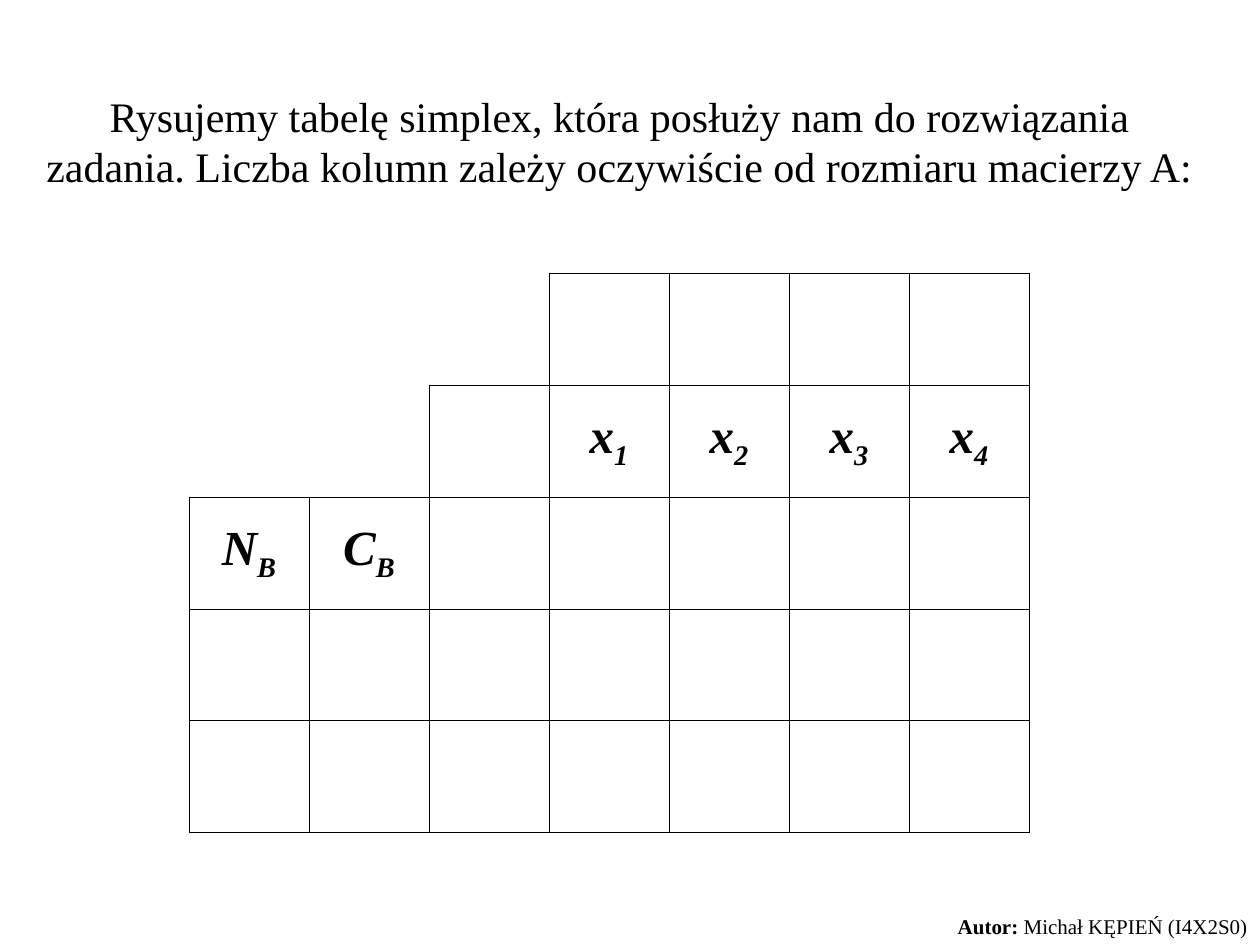
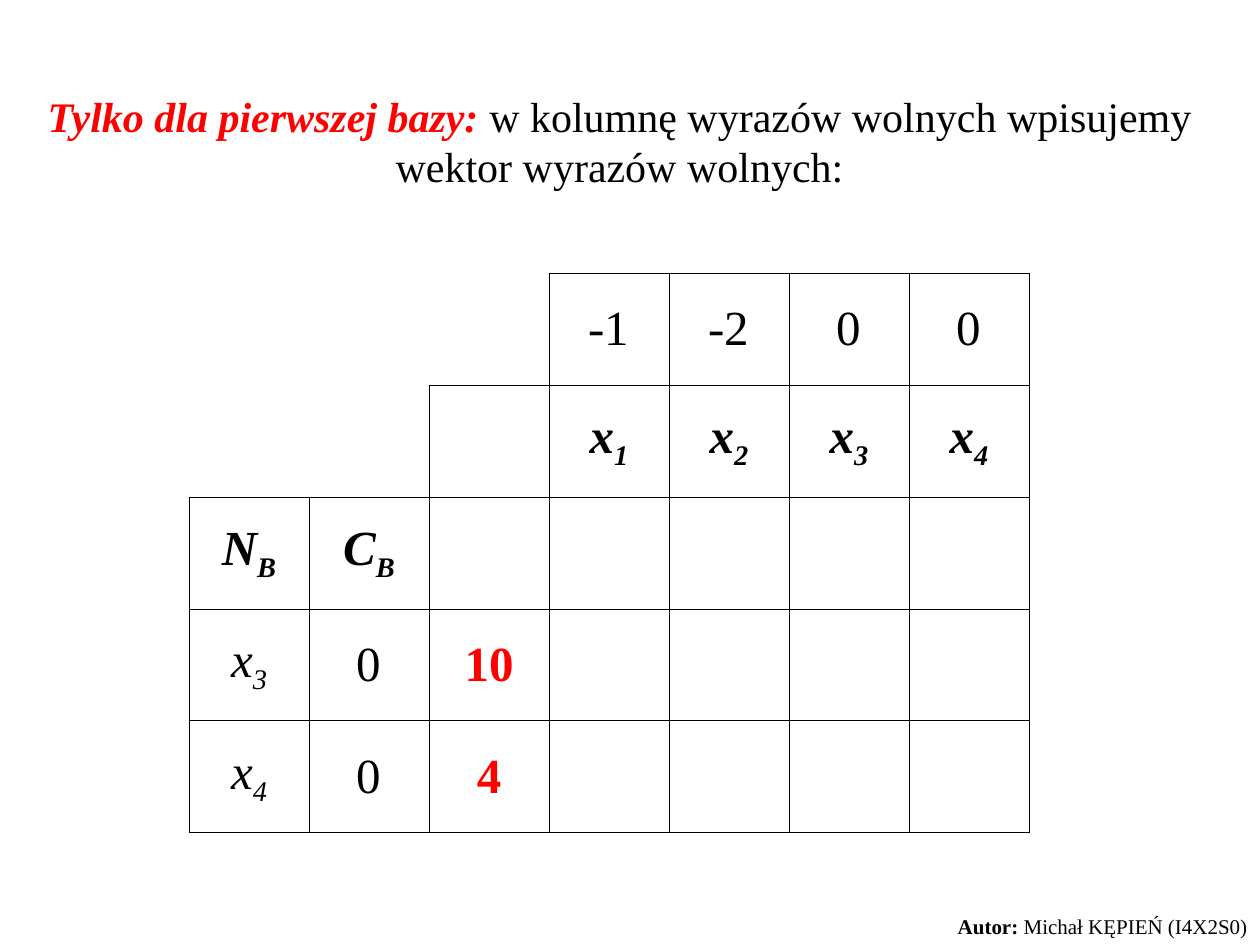
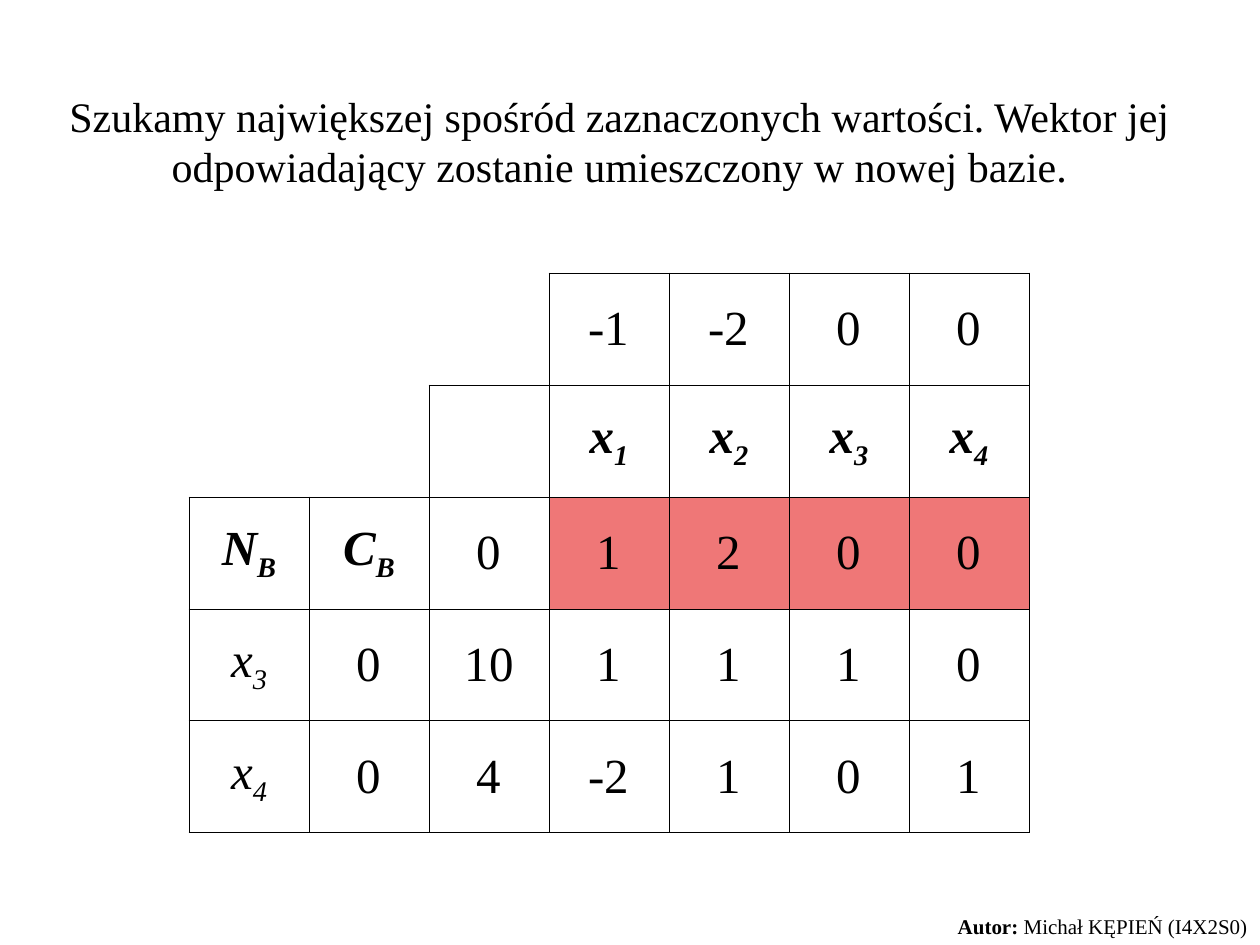
from dataclasses import dataclass
from typing import Optional

from lxml import etree
from pptx import Presentation
from pptx import util as u
from pptx.dml.color import RGBColor
from pptx.enum import text
from pptx.oxml import ns

COLORS = {"ink": "000000", "accent": "FF0000", "highlight": "EF7777", "paper": "FFFFFF"}
FONT = "Times New Roman"
BORDER_WIDTH = u.Pt(0.45)
ROW_COUNT, COLUMN_COUNT = 5, 7
Position = tuple[int, int]


@dataclass(frozen=True)
class Run:
    text: str
    bold: bool = False
    italic: bool = False
    subscript: bool = False
    color: str = "ink"


@dataclass(frozen=True)
class Box:
    left: float
    top: float
    width: float
    height: float

    def lengths(self) -> list[u.Pt]:
        return [u.Pt(value) for value in (self.left, self.top, self.width, self.height)]


@dataclass(frozen=True)
class TextStyle:
    size: float
    alignment: text.PP_ALIGN
    space_before: float


@dataclass(frozen=True)
class Step:
    title: list[Run]
    costs: str = ""
    rating: str = ""
    base_rows: tuple[str, str] = ("", "")
    red_cells: tuple[Position, ...] = ()
    filled_cells: tuple[Position, ...] = ()


# Shared places and styles
TITLE_BOX = Box(18, 48, 672, 65)
TABLE_BOX = Box(108, 156, 480, 320)
FOOTER_BOX = Box(528, 518.4, 192, 21.6)
TITLE_STYLE = TextStyle(24, text.PP_ALIGN.CENTER, 15)
CELL_STYLE = TextStyle(28, text.PP_ALIGN.CENTER, 7)
FOOTER_STYLE = TextStyle(12, text.PP_ALIGN.RIGHT, 7.5)
FOOTER = [Run("Autor:", bold=True), Run(" Michał KĘPIEŃ (I4X2S0)")]
HEADINGS = {"x_1", "x_2", "x_3", "x_4", "N_B", "C_B"}

STEPS = [
    Step([Run("Rysujemy tabelę simplex, która posłuży nam do rozwiązania zadania. "
              "Liczba kolumn zależy oczywiście od rozmiaru macierzy A:")]),
    Step(
        [Run("Tylko dla pierwszej bazy:", bold=True, italic=True, color="accent"),
         Run(" w kolumnę wyrazów wolnych wpisujemy wektor wyrazów wolnych:")],
        costs="-1 -2 0 0",
        base_rows=("x_3 0 10", "x_4 0 4"),
        red_cells=((3, 2), (4, 2)),
    ),
    Step(
        [Run("Szukamy największej spośród zaznaczonych wartości. "
             "Wektor jej odpowiadający zostanie umieszczony w nowej bazie.")],
        costs="-1 -2 0 0",
        rating="0 1 2 0 0",
        base_rows=("x_3 0 10 1 1 1 0", "x_4 0 4 -2 1 0 1"),
        filled_cells=tuple((2, column) for column in range(3, COLUMN_COUNT)),
    ),
]


def add_runs(frame, runs: list[Run], style: TextStyle) -> None:
    paragraph = frame.paragraphs[0]
    paragraph.alignment = style.alignment
    paragraph.space_before = u.Pt(style.space_before)
    for item in runs:
        run = paragraph.add_run()
        run.text = item.text
        run.font.name = FONT
        run.font.size = u.Pt(style.size)
        run.font.bold = item.bold
        run.font.italic = item.italic
        run.font.color.rgb = RGBColor.from_string(COLORS[item.color])
        if item.subscript:
            run.font._element.set("baseline", "-25000")


def add_text(slide, box: Box, runs: list[Run], style: TextStyle) -> None:
    frame = slide.shapes.add_textbox(*box.lengths()).text_frame
    frame.word_wrap = True
    frame.auto_size = text.MSO_AUTO_SIZE.SHAPE_TO_FIT_TEXT
    add_runs(frame, runs, style)


def simplex_rows(step: Step) -> list[list[Optional[str]]]:
    """Table texts; None stands for a place outside the stepped outline."""
    rows = [
        [None] * 3 + step.costs.split(),
        [None] * 2 + ["", "x_1", "x_2", "x_3", "x_4"],
        ["N_B", "C_B"] + step.rating.split(),
        *(row.split() for row in step.base_rows),
    ]
    return [row + [""] * (COLUMN_COUNT - len(row)) for row in rows]


def cell_runs(value: str, heading: bool, color: str) -> list[Run]:
    symbol, _, index = value.partition("_")
    if not index:
        return [Run(value, bold=color == "accent", color=color)]
    return [Run(symbol, heading, True), Run(index, heading, True, subscript=True)]


def set_border(cell, side: str, visible: bool) -> None:
    properties = cell._tc.get_or_add_tcPr()
    line = etree.SubElement(properties, ns.qn(f"a:ln{side}"), w=str(BORDER_WIDTH))
    if visible:
        fill = etree.SubElement(line, ns.qn("a:solidFill"))
        etree.SubElement(fill, ns.qn("a:srgbClr"), val=COLORS["ink"])
    else:
        etree.SubElement(line, ns.qn("a:noFill"))


def add_simplex_table(slide, step: Step) -> None:
    table = slide.shapes.add_table(ROW_COUNT, COLUMN_COUNT, *TABLE_BOX.lengths()).table
    table.first_row = table.horz_banding = False
    for column in table.columns:
        column.width = u.Pt(TABLE_BOX.width / COLUMN_COUNT)
    for row in table.rows:
        row.height = u.Pt(TABLE_BOX.height / ROW_COUNT)

    rows = simplex_rows(step)
    inside = {(r, c) for r, row in enumerate(rows)
              for c, value in enumerate(row) if value is not None}
    for r, row in enumerate(rows):
        for c, value in enumerate(row):
            cell = table.cell(r, c)
            # An edge shows when a cell on either side is in the outline
            neighbours = {"L": (r, c - 1), "R": (r, c + 1), "T": (r - 1, c), "B": (r + 1, c)}
            for side, neighbour in neighbours.items():
                set_border(cell, side, (r, c) in inside or neighbour in inside)
            if (r, c) in step.filled_cells:
                cell.fill.solid()
                cell.fill.fore_color.rgb = RGBColor.from_string(COLORS["highlight"])
            else:
                cell.fill.background()
            cell.vertical_anchor = text.MSO_ANCHOR.MIDDLE
            if value:
                heading = r < 3 and value in HEADINGS
                color = "accent" if (r, c) in step.red_cells else "ink"
                add_runs(cell.text_frame, cell_runs(value, heading, color), CELL_STYLE)


def add_step(presentation, step: Step) -> None:
    slide = presentation.slides.add_slide(presentation.slide_layouts[6])
    slide.background.fill.solid()
    slide.background.fill.fore_color.rgb = RGBColor.from_string(COLORS["paper"])
    add_text(slide, TITLE_BOX, step.title, TITLE_STYLE)
    add_simplex_table(slide, step)
    add_text(slide, FOOTER_BOX, FOOTER, FOOTER_STYLE)


def main() -> None:
    presentation = Presentation()
    presentation.slide_width = u.Pt(720)
    presentation.slide_height = u.Pt(540)
    for step in STEPS:
        add_step(presentation, step)
    presentation.save("out.pptx")


if __name__ == "__main__":
    main()
